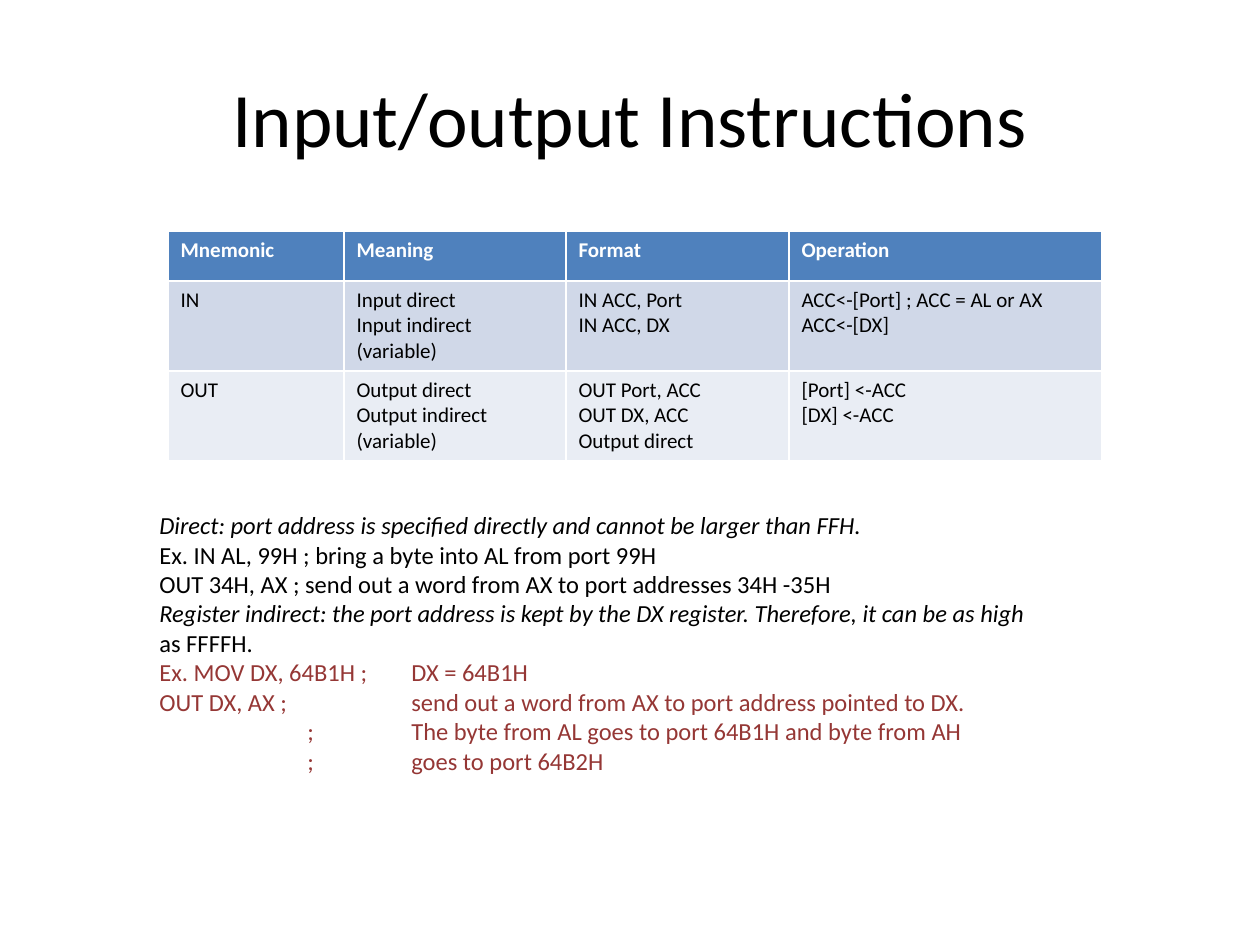
from lxml.etree import SubElement
from pptx import Presentation
from pptx.dml.color import RGBColor
from pptx.enum.text import MSO_ANCHOR, PP_ALIGN
from pptx.oxml.ns import qn
from pptx.util import Pt

FONT = "Calibri"
BLACK = RGBColor(0x00, 0x00, 0x00)
WHITE = RGBColor(0xFF, 0xFF, 0xFF)
DARK_RED = RGBColor(0x95, 0x37, 0x35)
ROW_FILLS = [RGBColor(0x4F, 0x81, 0xBD), RGBColor(0xD0, 0xD8, 0xE8), RGBColor(0xE9, 0xED, 0xF4)]

TITLE = "Input/output Instructions"
INSTRUCTIONS = [
    [["Mnemonic"], ["Meaning"], ["Format"], ["Operation"]],
    [["IN"],
     ["Input direct", "Input indirect", "(variable)"],
     ["IN ACC, Port", "IN ACC, DX"],
     ["ACC<-[Port] ; ACC = AL or AX", "ACC<-[DX]"]],
    [["OUT"],
     ["Output direct", "Output indirect", "(variable)"],
     ["OUT Port, ACC", "OUT DX, ACC", "Output direct"],
     ["[Port] <-ACC", "[DX] <-ACC"]],
]
COLUMN_WIDTHS = [176, 222, 223, 313]
ROW_HEIGHTS = [50, 90, 89]

SEMICOLON_TAB, COMMENT_TAB = 148, 252
# text, italic, colour, tab stops
ADDRESSING_NOTES = [
    ("Direct: port address is specified directly and cannot be larger than FFH.", True, BLACK, []),
    ("Ex. IN AL, 99H ; bring a byte into AL from port 99H", False, BLACK, []),
    ("OUT 34H, AX ; send out a word from AX to port addresses 34H -35H", False, BLACK, []),
    ("Register indirect: the port address is kept by the DX register. Therefore, it can be as high",
     True, BLACK, []),
    ("as FFFFH.", False, BLACK, []),
    ("Ex. MOV DX, 64B1H ;\tDX = 64B1H", False, DARK_RED, [COMMENT_TAB]),
    ("OUT DX, AX ;\tsend out a word from AX to port address pointed to DX.",
     False, DARK_RED, [COMMENT_TAB]),
    ("\t;\tThe byte from AL goes to port 64B1H and byte from AH",
     False, DARK_RED, [SEMICOLON_TAB, COMMENT_TAB]),
    ("\t;\tgoes to port 64B2H", False, DARK_RED, [SEMICOLON_TAB, COMMENT_TAB]),
]


def px(length):
    return round(length * 914400 / 126)


def paragraphs(frame, count):
    """Return the first paragraph of the frame followed by new ones, count in all."""
    return [frame.paragraphs[0]] + [frame.add_paragraph() for _ in range(count - 1)]


def add_run(paragraph, text, size, color, bold=False, italic=False):
    run = paragraph.add_run()
    run.text = text
    font = run.font
    font.name, font.size, font.bold, font.italic = FONT, Pt(size), bold, italic
    font.color.rgb = color


def set_tabs(paragraph, stops):
    tab_list = SubElement(paragraph._p.get_or_add_pPr(), qn("a:tabLst"))
    for stop in stops:
        SubElement(tab_list, qn("a:tab"), pos=str(px(stop)), algn="l")


def add_title(slide):
    title = slide.shapes.title
    title.left, title.top, title.width, title.height = map(px, (63, 38, 1134, 157))
    title.text_frame.vertical_anchor = MSO_ANCHOR.MIDDLE
    heading = title.text_frame.paragraphs[0]
    heading.alignment = PP_ALIGN.CENTER
    add_run(heading, TITLE, 44, BLACK)


def add_instruction_table(slide):
    table = slide.shapes.add_table(
        len(ROW_HEIGHTS), len(COLUMN_WIDTHS), px(168), px(231),
        px(sum(COLUMN_WIDTHS)), px(sum(ROW_HEIGHTS))).table
    for column, width in zip(table.columns, COLUMN_WIDTHS):
        column.width = px(width)
    for r, (cells, height, fill) in enumerate(zip(INSTRUCTIONS, ROW_HEIGHTS, ROW_FILLS)):
        table.rows[r].height = px(height)
        is_header = r == 0
        for c, lines in enumerate(cells):
            cell = table.cell(r, c)
            cell.fill.solid()
            cell.fill.fore_color.rgb = fill
            for paragraph, line in zip(paragraphs(cell.text_frame, len(lines)), lines):
                add_run(paragraph, line, 12, WHITE if is_header else BLACK, bold=is_header)


def add_notes_on_addressing(slide):
    frame = slide.shapes.add_textbox(px(147), px(504), px(955), px(310)).text_frame
    frame.word_wrap = True
    for paragraph, (text, italic, color, stops) in zip(
            paragraphs(frame, len(ADDRESSING_NOTES)), ADDRESSING_NOTES):
        if stops:
            set_tabs(paragraph, stops)
        add_run(paragraph, text, 14, color, italic=italic)


def main():
    deck = Presentation()
    deck.slide_width, deck.slide_height = px(1260), px(945)
    slide = deck.slides.add_slide(deck.slide_layouts[5])
    add_title(slide)
    add_instruction_table(slide)
    add_notes_on_addressing(slide)
    deck.save("out.pptx")


if __name__ == "__main__":
    main()
